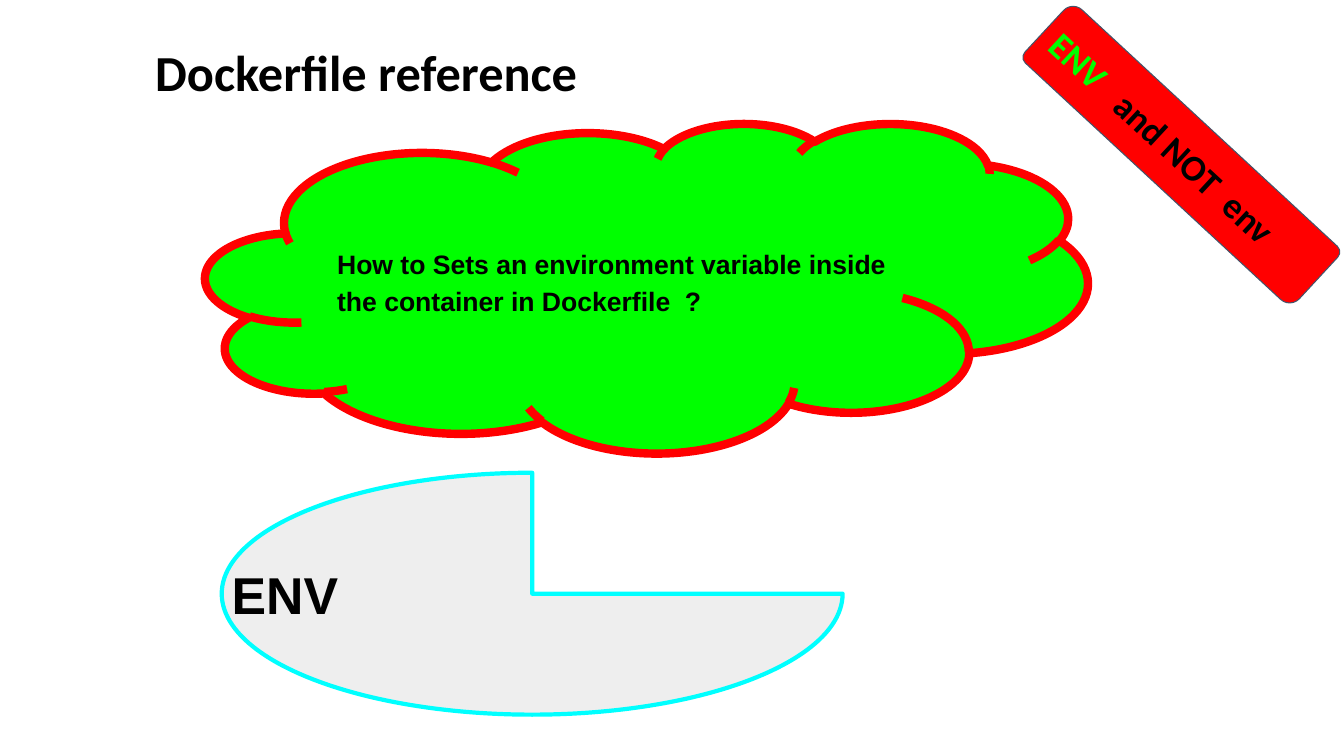
from pptx import Presentation
from pptx.dml.color import RGBColor
from pptx.enum.shapes import MSO_SHAPE
from pptx.enum.text import MSO_ANCHOR, PP_ALIGN
from pptx.util import Pt

CLOUD = MSO_SHAPE.CLOUD
PIE = MSO_SHAPE.PIE
BANNER = MSO_SHAPE.ROUND_2_DIAG_RECTANGLE
TOP, MIDDLE = MSO_ANCHOR.TOP, MSO_ANCHOR.MIDDLE
LEFT = PP_ALIGN.LEFT
TITLE_ONLY = 5

COLORS = {
    "black": "000000",
    "green": "00FF00",
    "red": "FF0000",
    "cyan": "00FFFF",
    "gray": "EEEEEE",
    "slate": "44546A",
}


def color(name):
    return RGBColor.from_string(COLORS[name])


def place(shape, box):
    shape.left, shape.top, shape.width, shape.height = map(Pt, box)


def write(shape, runs, font_name, size, anchor, inset):
    """Fill the shape with one bold paragraph of (text, color name) runs."""
    frame = shape.text_frame
    frame.word_wrap = True
    frame.vertical_anchor = anchor
    frame.margin_left = frame.margin_right = Pt(7.2)
    frame.margin_top = frame.margin_bottom = Pt(inset)
    paragraph = frame.paragraphs[0]
    paragraph.alignment = LEFT
    paragraph.font.name = font_name
    paragraph.font.size = Pt(size)
    paragraph.font.bold = True
    for text, color_name in runs:
        run = paragraph.add_run()
        run.text = text
        run.font.color.rgb = color(color_name)
    return paragraph


def add_outlined_shape(slide, kind, box, fill, line, line_width):
    shape = slide.shapes.add_shape(kind, *map(Pt, box))
    shape.shadow.inherit = False
    shape.fill.solid()
    shape.fill.fore_color.rgb = color(fill)
    shape.line.color.rgb = color(line)
    shape.line.width = Pt(line_width)
    return shape


def add_title(slide, box):
    title = slide.shapes.title
    place(title, box)
    paragraph = write(title, [("Dockerfile reference", "black")], "Calibri", 36, TOP, 3.6)
    paragraph.line_spacing = 1.0


def add_question_cloud(slide, box):
    cloud = add_outlined_shape(slide, CLOUD, box, "green", "red", 6)
    question = "How to Sets an environment variable inside the container in Dockerfile  ?"
    paragraph = write(cloud, [(question, "black")], "Arial", 19, MIDDLE, 7.2)
    paragraph.line_spacing = 1.15


def add_answer_pie(slide, box):
    pie = add_outlined_shape(slide, PIE, box, "gray", "cyan", 3)
    write(pie, [("ENV", "black")], "Arial", 37, MIDDLE, 7.2)


def add_case_banner(slide, box):
    banner = add_outlined_shape(slide, BANNER, box, "red", "slate", 0.75)
    banner.adjustments[0] = 0.17
    banner.adjustments[1] = 0.1
    banner.rotation = 42.8
    runs = [("ENV ", "green"), ("  and NOT  env", "black")]
    write(banner, runs, "Calibri", 26, MIDDLE, 7.2)


def main():
    presentation = Presentation()
    presentation.slide_width = Pt(960)
    presentation.slide_height = Pt(540)
    slide = presentation.slides.add_slide(presentation.slide_layouts[TITLE_ONLY])
    add_title(slide, (103.7, 25.9, 696.2, 51.1))
    add_question_cloud(slide, (146.9, 87.8, 630, 235.4))
    add_answer_pie(slide, (158.4, 337.7, 443.5, 172.8))
    add_case_banner(slide, (712.1, 82.8, 263.5, 55.4))
    presentation.save("out.pptx")


if __name__ == "__main__":
    main()
